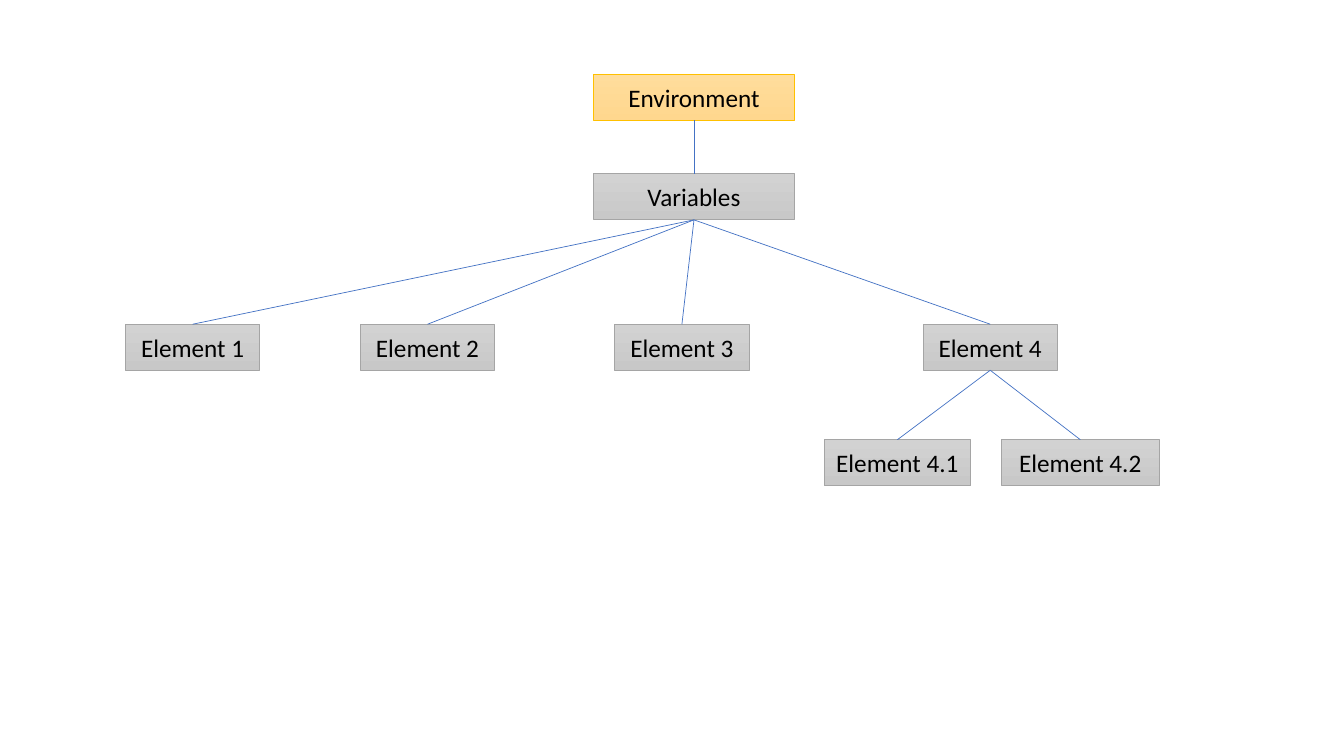
import pptx
import pptx.util
import pptx.dml.color
import pptx.enum.shapes
import pptx.enum.text
import pptx.oxml

Cm = pptx.util.Cm
Pt = pptx.util.Pt
RGB = pptx.dml.color.RGBColor.from_string

COLORS = {
    "gold top": "FFDD9C", "gold end": "FFD78E", "gold edge": "FFC000",
    "gray top": "D2D2D2", "gray end": "C8C8C8", "gray edge": "A5A5A5",
    "link": "4472C4", "text": "000000",
}
HIGH = 1.16

deck = pptx.Presentation()
deck.slide_width = Cm(33.87)
deck.slide_height = Cm(19.05)
slide = deck.slides.add_slide(deck.slide_layouts[6])

# Tree nodes: name, left, top, width, parent
nodes = [
    ("Environment", 14.96, 1.87, 5.06, None),
    ("Variables", 14.96, 4.38, 5.06, "Environment"),
    ("Element 1", 3.16, 8.17, 3.39, "Variables"),
    ("Element 2", 9.08, 8.17, 3.39, "Variables"),
    ("Element 3", 15.49, 8.17, 3.39, "Variables"),
    ("Element 4", 23.26, 8.17, 3.39, "Variables"),
    ("Element 4.1", 20.77, 11.08, 3.69, "Element 4"),
    ("Element 4.2", 25.24, 11.08, 3.97, "Element 4"),
]

# Boxes
boxes = {}
for name, left, top, width, parent in nodes:
    box = slide.shapes.add_shape(
        pptx.enum.shapes.MSO_SHAPE.RECTANGLE,
        Cm(left), Cm(top), Cm(width), Cm(HIGH))
    boxes[name] = box
    box.shadow.inherit = False
    tone = "gray" if parent else "gold"
    box.fill.gradient()
    box.fill.gradient_angle = 270
    for stop, part in zip(box.fill.gradient_stops, ("top", "end")):
        stop.color.rgb = RGB(COLORS[f"{tone} {part}"])
    box.line.color.rgb = RGB(COLORS[f"{tone} edge"])
    box.line.width = Pt(0.5)

    frame = box.text_frame
    frame.text = name
    frame.word_wrap = False
    frame.vertical_anchor = pptx.enum.text.MSO_ANCHOR.MIDDLE
    para = frame.paragraphs[0]
    para.alignment = pptx.enum.text.PP_ALIGN.CENTER
    font = para.runs[0].font
    font.name = "Calibri"
    font.size = Pt(18)
    font.color.rgb = RGB(COLORS["text"])

# Links from the bottom of each parent to the top of its child
for name, left, top, width, parent in nodes:
    if parent is None:
        continue
    link = slide.shapes.add_connector(
        pptx.enum.shapes.MSO_CONNECTOR.STRAIGHT, 0, 0, 0, 0)
    link.begin_connect(boxes[parent], 2)
    link.end_connect(boxes[name], 0)
    link.line.color.rgb = RGB(COLORS["link"])
    link.line.width = Pt(0.5)
    link._element.spPr.append(pptx.oxml.parse_xml(
        '<a:effectLst xmlns:a='
        '"http://schemas.openxmlformats.org/drawingml/2006/main"/>'))

deck.save("out.pptx")
